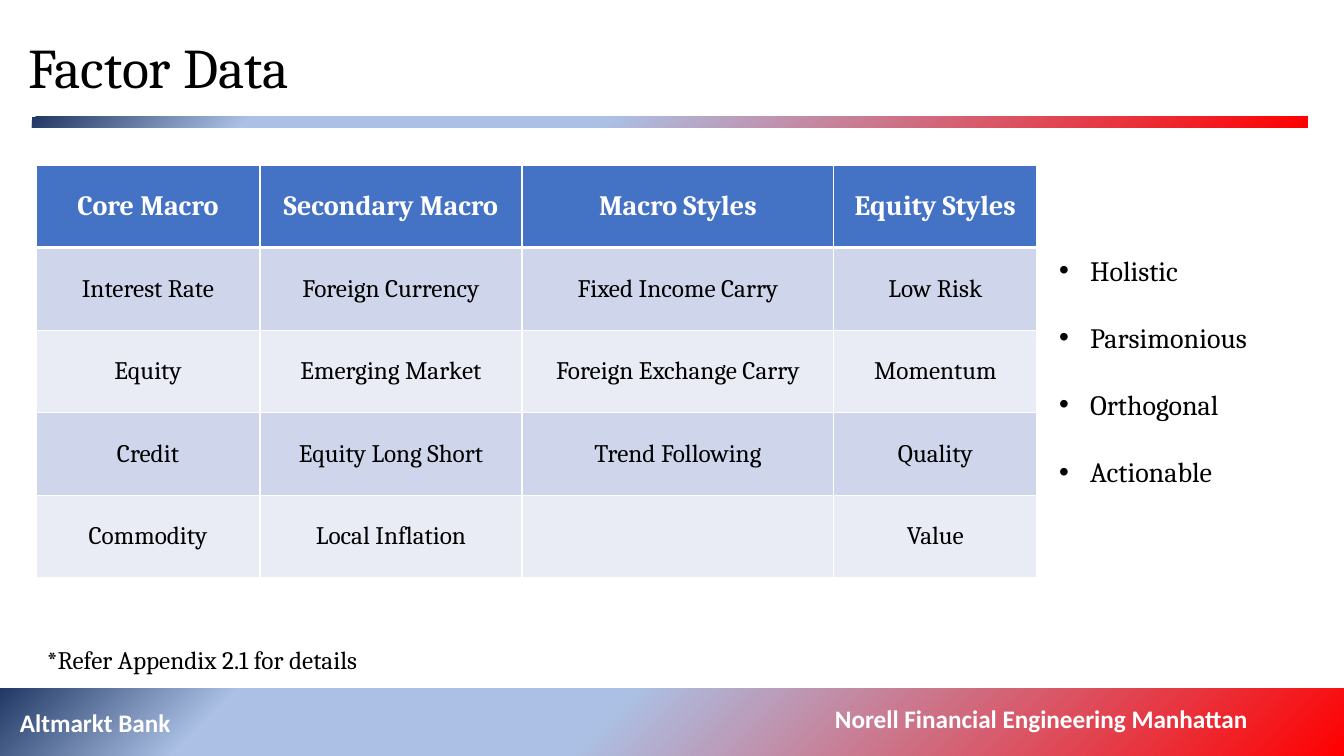
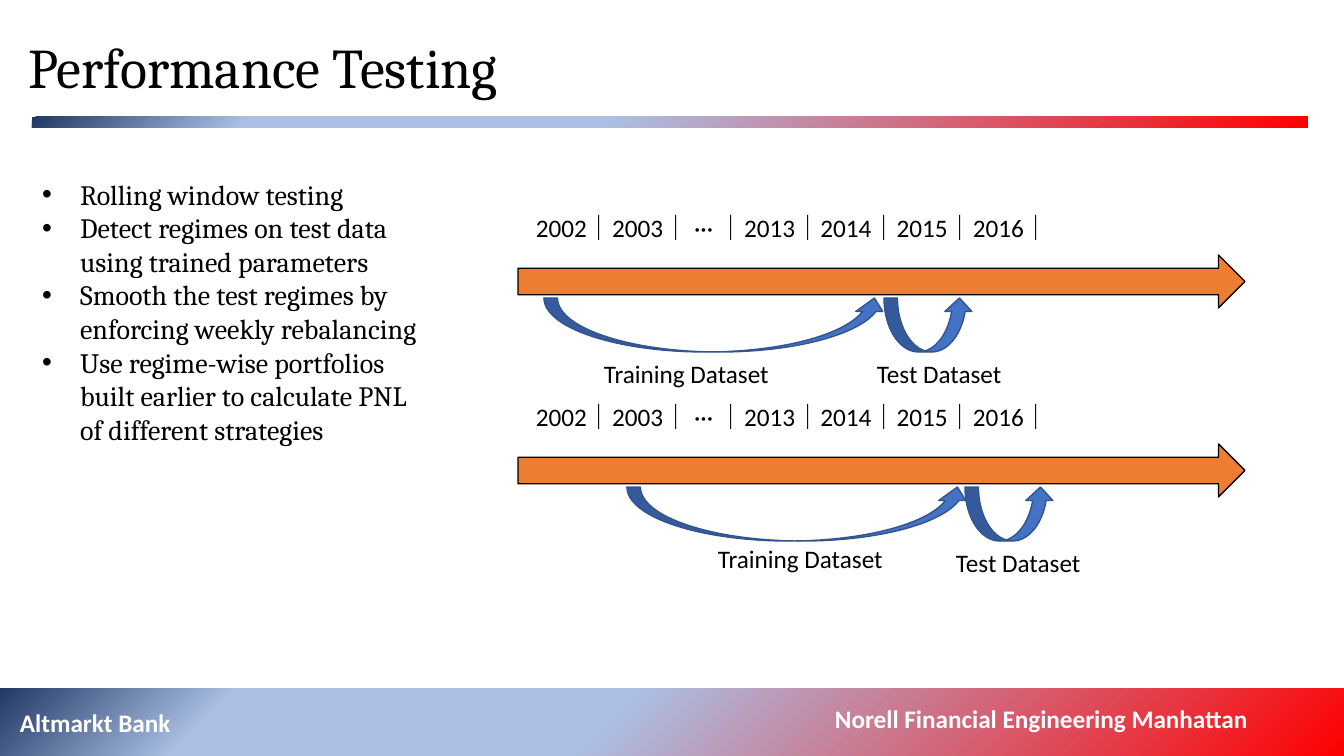
from dataclasses import dataclass

from lxml import etree
from pptx import Presentation
from pptx import util as u
from pptx.dml.color import RGBColor
from pptx.enum import shapes as kinds
from pptx.enum import text as t
from pptx.oxml import ns


@dataclass(frozen=True)
class Theme:
    serif: str = "Cambria"
    sans: str = "Calibri"
    black: str = "000000"
    white: str = "FFFFFF"
    header: str = "4472C4"
    stripes: tuple = ("CFD5EA", "E9EBF5")
    timeline: str = "ED7D31"
    arc: str = "4472C4"
    arc_edge: str = "325491"
    gradient: tuple = ((0, "FF0000"), (55, "ABC0E4"), (83, "ABC0E4"), (100, "203864"))
    title_size: int = 40
    list_size: int = 20
    text_size: int = 18


THEME = Theme()
EMU_PER_PX = 914400 / 100.8
SLIDE_SIZE = (1344, 756)

TITLE_BOX = (18, 27, 1307, 78)
BANDS = [(32, 117, 1276, 11), (0, 688, 1344, 68)]
FOOTERS = [
    ("Altmarkt Bank", (10, 702, 200, 40)),
    ("Norell Financial Engineering Manhattan", (825, 698, 500, 40)),
]

FACTOR_TITLE = "Factor Data"
FACTORS = [
    ("Core Macro", "Secondary Macro", "Macro Styles", "Equity Styles"),
    ("Interest Rate", "Foreign Currency", "Fixed Income Carry", "Low Risk"),
    ("Equity", "Emerging Market", "Foreign Exchange Carry", "Momentum"),
    ("Credit", "Equity Long Short", "Trend Following", "Quality"),
    ("Commodity", "Local Inflation", "", "Value"),
]
FACTOR_COLUMNS = (224, 262, 312, 203)
FACTOR_ORIGIN = (36, 165)
FACTOR_HEIGHT = 413
QUALITIES = ["Holistic", "Parsimonious", "Orthogonal", "Actionable"]
APPENDIX_NOTE = "*Refer Appendix 2.1 for details"

TESTING_TITLE = "Performance Testing"
TESTING_STEPS = [
    "Rolling window testing",
    "Detect regimes on test data using trained parameters",
    "Smooth the test regimes by enforcing weekly rebalancing",
    "Use regime-wise portfolios built earlier to calculate PNL of different strategies",
]
YEARS = "2002｜2003｜ ··· ｜2013｜2014｜2015｜2016｜"
TIMELINE_TOP, TIMELINE_PITCH = 207, 189
ARC_DROP, ARC_HEIGHT = 91, 54
# Each dataset: name, arc left, arc width, label left, label drop, label width
WINDOWS = [
    [("Training Dataset", 544, 344, 594, 146, 353), ("Test Dataset", 884, 89, 867, 146, 145)],
    [("Training Dataset", 627, 344, 708, 142, 353), ("Test Dataset", 965, 89, 946, 146, 145)],
]


def px(length):
    return u.Emu(round(length * EMU_PER_PX))


def emu_box(box):
    return [px(length) for length in box]


def rgb(color):
    return RGBColor.from_string(color)


def add_run(paragraph, words, size, font=THEME.serif, color=THEME.black, bold=False):
    run = paragraph.add_run()
    run.text = words
    run.font.name, run.font.size, run.font.bold = font, u.Pt(size), bold
    run.font.color.rgb = rgb(color)


def add_label(slide, box, words, **style):
    frame = slide.shapes.add_textbox(*emu_box(box)).text_frame
    frame.word_wrap = True
    add_run(frame.paragraphs[0], words, THEME.text_size, **style)


def add_figure(slide, preset, box, fill=None, edge=None):
    figure = slide.shapes.add_shape(preset, *emu_box(box))
    figure.shadow.inherit = False
    if fill:
        figure.fill.solid()
        figure.fill.fore_color.rgb = rgb(fill)
    if edge:
        figure.line.color.rgb = rgb(edge)
        figure.line.width = u.Pt(1)
    else:
        figure.line.fill.background()
    return figure


def add_band(slide, box):
    """Bar with a circular gradient centred on its lower right corner."""
    band = add_figure(slide, kinds.MSO_SHAPE.RECTANGLE, box)
    gradient = etree.Element(ns.qn("a:gradFill"), rotWithShape="1")
    stops = etree.SubElement(gradient, ns.qn("a:gsLst"))
    for position, color in THEME.gradient:
        stop = etree.SubElement(stops, ns.qn("a:gs"), pos=str(position * 1000))
        etree.SubElement(stop, ns.qn("a:srgbClr"), val=color)
    circle = etree.SubElement(gradient, ns.qn("a:path"), path="circle")
    etree.SubElement(circle, ns.qn("a:fillToRect"), l="100000", t="100000")
    etree.SubElement(gradient, ns.qn("a:tileRect"), r="-100000", b="-100000")
    band.element.spPr.find(ns.qn("a:prstGeom")).addnext(gradient)


def place(placeholder, box):
    placeholder.left, placeholder.top, placeholder.width, placeholder.height = emu_box(box)
    frame = placeholder.text_frame
    frame.auto_size = t.MSO_AUTO_SIZE.NONE
    frame.vertical_anchor = t.MSO_ANCHOR.TOP
    return frame


def fill_list(slide, box, items, indent, gap=0):
    frame = place(slide.placeholders[1], box)
    for index, item in enumerate(items):
        paragraph = frame.add_paragraph() if index else frame.paragraphs[0]
        paragraph.space_before, paragraph.space_after = u.Pt(0), u.Pt(gap)
        properties = paragraph._p.get_or_add_pPr()
        properties.set("marL", str(px(indent)))
        properties.set("indent", str(-px(indent)))
        add_run(paragraph, item, THEME.list_size)


def add_framed_slide(deck, title):
    slide = deck.slides.add_slide(deck.slide_layouts[1])
    heading = place(slide.shapes.title, TITLE_BOX).paragraphs[0]
    heading.alignment = t.PP_ALIGN.LEFT
    add_run(heading, title, THEME.title_size)
    for box in BANDS:
        add_band(slide, box)
    for words, box in FOOTERS:
        add_label(slide, box, words, font=THEME.sans, color=THEME.white, bold=True)
    return slide


def set_borders(cell, row):
    """White 1 pt borders, with 3 pt between the header and the first row."""
    properties = cell._tc.get_or_add_tcPr()
    heavy_side = {0: "lnB", 1: "lnT"}.get(row)
    for side in ("lnL", "lnR", "lnT", "lnB"):
        width = u.Pt(3 if side == heavy_side else 1)
        line = etree.SubElement(properties, ns.qn(f"a:{side}"), w=str(width))
        paint = etree.SubElement(line, ns.qn("a:solidFill"))
        etree.SubElement(paint, ns.qn("a:srgbClr"), val=THEME.white)


def add_factor_table(slide):
    box = (*FACTOR_ORIGIN, sum(FACTOR_COLUMNS), FACTOR_HEIGHT)
    table = slide.shapes.add_table(len(FACTORS), len(FACTOR_COLUMNS), *emu_box(box)).table
    for column, width in zip(table.columns, FACTOR_COLUMNS):
        column.width = px(width)
    for row, names in enumerate(FACTORS):
        table.rows[row].height = px(FACTOR_HEIGHT / len(FACTORS))
        if row == 0:
            fill, size, style = THEME.header, THEME.list_size, dict(color=THEME.white, bold=True)
        else:
            fill, size, style = THEME.stripes[(row - 1) % 2], THEME.text_size, {}
        for column, name in enumerate(names):
            cell = table.cell(row, column)
            set_borders(cell, row)
            cell.fill.solid()
            cell.fill.fore_color.rgb = rgb(fill)
            cell.vertical_anchor = t.MSO_ANCHOR.MIDDLE
            if name:
                paragraph = cell.text_frame.paragraphs[0]
                paragraph.alignment = t.PP_ALIGN.CENTER
                add_run(paragraph, name, size, **style)


def add_timeline(slide, top, datasets):
    add_figure(slide, kinds.MSO_SHAPE.RIGHT_ARROW, (518, top + 48, 727, 53),
               THEME.timeline, THEME.black)
    add_label(slide, (526, top, 862, 40), YEARS, font=THEME.sans)
    for name, arc_left, arc_width, label_left, label_drop, label_width in datasets:
        add_figure(slide, kinds.MSO_SHAPE.CURVED_UP_ARROW,
                   (arc_left, top + ARC_DROP, arc_width, ARC_HEIGHT), THEME.arc, THEME.arc_edge)
        add_label(slide, (label_left, top + label_drop, label_width, 40), name, font=THEME.sans)


def main():
    deck = Presentation()
    deck.slide_width, deck.slide_height = emu_box(SLIDE_SIZE)

    factors = add_framed_slide(deck, FACTOR_TITLE)
    add_factor_table(factors)
    fill_list(factors, (1049, 248, 274, 248), QUALITIES, indent=31, gap=24)
    add_label(factors, (37, 639, 1270, 40), APPENDIX_NOTE)

    testing = add_framed_slide(deck, TESTING_TITLE)
    for index, datasets in enumerate(WINDOWS):
        add_timeline(testing, TIMELINE_TOP + index * TIMELINE_PITCH, datasets)
    fill_list(testing, (32, 172, 401, 316), TESTING_STEPS, indent=38)

    deck.save("out.pptx")


if __name__ == "__main__":
    main()
